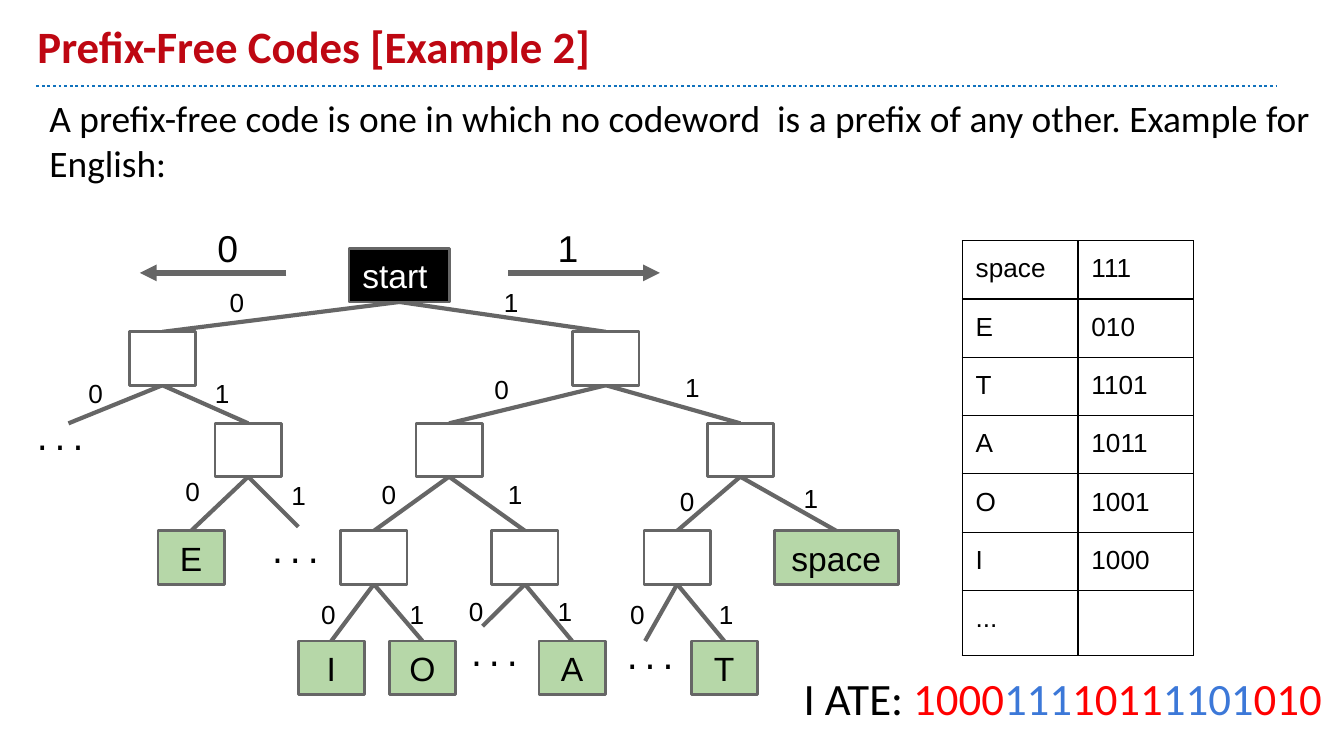
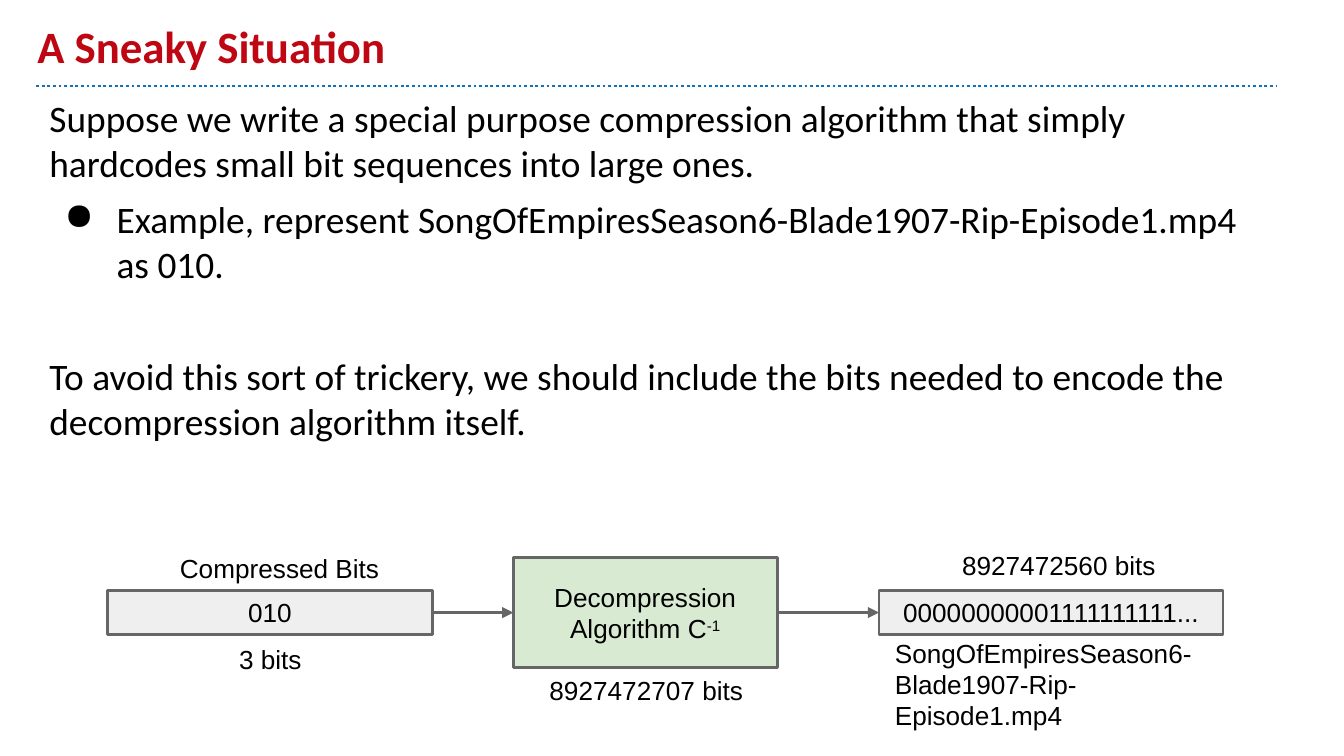
from dataclasses import dataclass

import pptx
import pptx.dml.color
import pptx.enum.dml
import pptx.enum.shapes
import pptx.enum.text
import pptx.oxml.ns
import pptx.util
from lxml import etree

Pt = pptx.util.Pt
RGB = pptx.dml.color.RGBColor.from_string
qn = pptx.oxml.ns.qn
ANCHOR = pptx.enum.text.MSO_ANCHOR
CENTER = pptx.enum.text.PP_ALIGN.CENTER


@dataclass(frozen=True)
class Theme:
    ink: str = "000000"
    paper: str = "FFFFFF"
    heading: str = "BE0712"
    rule: str = "1072BD"
    outline: str = "666666"
    leaf: str = "B6D7A8"
    algorithm: str = "D9EAD3"
    bits: str = "EFEFEF"
    codeword_colors: tuple = ("FF0000", "3C78D8")
    prose_font: str = "Calibri"
    figure_font: str = "Arial"
    dots_font: str = "DejaVu Sans Mono"
    title_size: int = 24
    body_size: int = 20
    node_size: int = 18
    dots_size: int = 16
    label_size: int = 14
    inset: float = 7.2


THEME = Theme()

CODES = {"space": "111", "E": "010", "T": "1101", "A": "1011",
         "O": "1001", "I": "1000", "...": ""}

# Tree: rows by depth, box centres by codeword, stubs as tip and dots position
LEVEL_TOPS = (133.2, 177.8, 226.8, 284.4, 343.4)
NODE_W, NODE_H = 35.5, 28.6
NODE_CENTERS = {
    "": 214, "0": 87, "1": 324.6, "01": 133, "10": 240.6, "11": 396.6,
    "010": 102.4, "100": 200.3, "101": 281.2, "110": 362.8, "111": 448,
    "1000": 177.5, "1001": 226.3, "1011": 306.5, "1101": 388,
}
STUBS = {
    "00": ((36.7, 226.8), (10.8, 218.2)),
    "011": ((159.8, 282.2), (136.8, 278.6)),
    "1010": ((258.5, 335.5), (243.4, 334.1)),
    "1100": ((345.6, 343.4), (326.9, 335.5)),
}
EDGE_LABELS = {
    "0": (115.9, 146.2), "1": (262.8, 146.2),
    "00": (40.3, 195.1), "01": (108, 195.1),
    "10": (257.8, 193), "11": (360, 191.5),
    "010": (92.2, 247.7), "011": (149, 249.8),
    "100": (197.3, 249.1), "101": (265, 249.1),
    "110": (357.1, 252.7), "111": (423.4, 251.3),
    "1000": (164.9, 313.2), "1001": (212.4, 313.2),
    "1010": (244.1, 311.8), "1011": (291.6, 311.8),
    "1100": (330.5, 313.2), "1101": (378, 313.2),
}

EPISODE = "SongOfEmpiresSeason6-Blade1907-Rip-Episode1.mp4"


# Text
def write(frame, text, size=THEME.label_size, font=THEME.figure_font,
          color=THEME.ink, bold=False, align=None, before=0, bullet=None):
    """Add a paragraph; text is a string or a list of (text, color, baseline)."""
    first = frame.paragraphs[0]
    paragraph = frame.add_paragraph() if first.runs else first
    paragraph.alignment = align
    paragraph.space_before = Pt(before)
    parts = [(text, color, 0)] if isinstance(text, str) else text
    for words, part_color, baseline in parts:
        run = paragraph.add_run()
        run.text = words
        run.font.size, run.font.name, run.font.bold = Pt(size), font, bold
        run.font.color.rgb = RGB(part_color)
        if baseline:
            run.font._element.set("baseline", str(baseline * 1000))
    if bullet:
        props = paragraph._p.get_or_add_pPr()
        props.set("marL", str(Pt(36)))
        props.set("indent", str(Pt(-28)))
        etree.SubElement(props, qn("a:buChar")).set("char", bullet)


def set_frame(frame, anchor):
    frame.word_wrap = True
    frame.vertical_anchor = anchor
    frame.margin_left = frame.margin_right = Pt(THEME.inset)
    frame.margin_top = frame.margin_bottom = Pt(THEME.inset)
    return frame


def add_text(slide, left, top, width, height, text=None, anchor=ANCHOR.TOP, **fmt):
    box = slide.shapes.add_textbox(Pt(left), Pt(top), Pt(width), Pt(height))
    frame = set_frame(box.text_frame, anchor)
    if text:
        write(frame, text, **fmt)
    return frame


# Boxes and lines
def add_box(slide, left, top, width, height, fill, lines=(), **fmt):
    box = slide.shapes.add_shape(pptx.enum.shapes.MSO_SHAPE.RECTANGLE,
                                 Pt(left), Pt(top), Pt(width), Pt(height))
    box.shadow.inherit = False
    box.fill.solid()
    box.fill.fore_color.rgb = RGB(fill)
    box.line.color.rgb = RGB(THEME.outline)
    box.line.width = Pt(1.5)
    frame = set_frame(box.text_frame, ANCHOR.MIDDLE)
    for line in lines:
        write(frame, line, **fmt)


def add_line(slide, start, end, width, color=THEME.outline, arrow=False, dotted=False):
    line = slide.shapes.add_connector(pptx.enum.shapes.MSO_CONNECTOR.STRAIGHT,
                                      *(Pt(v) for v in (*start, *end)))
    line.line.color.rgb = RGB(color)
    line.line.width = Pt(width)
    if dotted:
        line.line.dash_style = pptx.enum.dml.MSO_LINE.ROUND_DOT
    if arrow:
        etree.SubElement(line.line._get_or_add_ln(), qn("a:tailEnd")).set("type", "triangle")
    etree.SubElement(line._element.spPr, qn("a:effectLst"))


def add_titled_slide(deck, title):
    slide = deck.slides.add_slide(deck.slide_layouts[6])
    add_line(slide, (19.4, 46.1), (684, 46.1), 1.5, THEME.rule, dotted=True)
    add_text(slide, 13, 7.2, 648, 38.9, title, anchor=ANCHOR.BOTTOM,
             size=THEME.title_size, font=THEME.prose_font,
             color=THEME.heading, bold=True)
    return slide


# Code table
def set_borders(cell):
    props = cell._tc.get_or_add_tcPr()
    for position, side in enumerate(("a:lnL", "a:lnR", "a:lnT", "a:lnB")):
        border = etree.Element(qn(side), w=str(Pt(0.75)))
        solid = etree.SubElement(border, qn("a:solidFill"))
        etree.SubElement(solid, qn("a:srgbClr")).set("val", THEME.ink)
        props.insert(position, border)


def add_code_table(slide, left, top):
    column_w, heights = 62, [30.2] + [30.9] * 5 + [35]
    table = slide.shapes.add_table(len(CODES), 2, Pt(left), Pt(top),
                                   Pt(2 * column_w), Pt(sum(heights))).table
    table.first_row = table.horz_banding = False
    for column in table.columns:
        column.width = Pt(column_w)
    for row, height, entry in zip(table.rows, heights, CODES.items()):
        row.height = Pt(height)
        for cell, text in zip(row.cells, entry):
            cell.fill.background()
            set_borders(cell)
            if text:
                cell.margin_left = cell.margin_right = Pt(THEME.inset)
                cell.margin_top = cell.margin_bottom = Pt(THEME.inset)
                write(cell.text_frame, text)


# Code tree
def add_tree(slide):
    letters = {code: letter for letter, code in CODES.items() if code}
    tips = {code: (x, LEVEL_TOPS[len(code)]) for code, x in NODE_CENTERS.items()}
    tips.update({code: tip for code, (tip, _) in STUBS.items()})

    for code, tip in tips.items():
        if code:
            parent_x, parent_top = tips[code[:-1]]
            add_line(slide, (parent_x, parent_top + NODE_H), tip, 2.25)

    for code, center in NODE_CENTERS.items():
        top = LEVEL_TOPS[len(code)]
        letter = letters.get(code)
        if not code:
            add_box(slide, center - 27, top, 54, NODE_H, THEME.ink, ["start"],
                    size=THEME.node_size, color=THEME.paper)
        elif letter:
            width = 66.5 if letter == "space" else NODE_W
            add_box(slide, center - width / 2, top, width, NODE_H, THEME.leaf,
                    [letter], size=THEME.node_size, align=CENTER)
        else:
            add_box(slide, center - NODE_W / 2, top, NODE_W, NODE_H, THEME.paper)

    for _, dots_at in STUBS.values():
        add_text(slide, *dots_at, 54.7, 33.8, "...",
                 size=THEME.dots_size, font=THEME.dots_font)
    for code, label_at in EDGE_LABELS.items():
        add_text(slide, *label_at, 38, 23, code[-1])


def build_prefix_slide(deck):
    slide = add_titled_slide(deck, "Prefix-Free Codes [Example 2]")
    add_text(slide, 19.4, 43.9, 694, 70,
             "A prefix-free code is one in which no codeword  is a prefix of any other. "
             "Example for English:",
             size=THEME.body_size, font=THEME.prose_font, before=6)

    # Direction key
    for bit, x, start, end in (("0", 109.4, 153.4, 74.9), ("1", 291.6, 272.2, 353.5)):
        add_line(slide, (start, 146.2), (end, 146.2), 3, arrow=True)
        add_text(slide, x, 113.4, 54, 28.6, bit, size=THEME.body_size)

    add_tree(slide)
    add_code_table(slide, 515.5, 128.9)

    # Encoded message
    message = [("I ATE: ", THEME.ink, 0)]
    for i, letter in enumerate(("I", "space", "A", "T", "E")):
        message.append((CODES[letter], THEME.codeword_colors[i % 2], 0))
    add_text(slide, 423.4, 349.2, 339, 49, message, anchor=ANCHOR.MIDDLE,
             size=THEME.title_size, font=THEME.prose_font)


def build_sneaky_slide(deck):
    slide = add_titled_slide(deck, "A Sneaky Situation")
    body = add_text(slide, 19.4, 43.9, 664.6, 242)
    for text, before, bullet in (
            ("Suppose we write a special purpose compression algorithm that simply "
             "hardcodes small bit sequences into large ones.", 6, None),
            (f"Example, represent {EPISODE} as 010.", 6, "●"),
            ("To avoid this sort of trickery, we should include the bits needed to "
             "encode the decompression algorithm itself.", 36, None)):
        write(body, text, size=THEME.body_size, font=THEME.prose_font,
              before=before, bullet=bullet)

    # Decompression pipeline
    inverse = [("Algorithm C", THEME.ink, 0), ("-1", THEME.ink, 30)]
    for left, top, width, height, fill, lines in (
            (57.6, 316.2, 174, 23.8, THEME.bits, ["010"]),
            (275, 298.8, 141.4, 59, THEME.algorithm, ["Decompression", inverse]),
            (470.9, 316.2, 184.3, 23.8, THEME.bits, ["00000000001111111111..."])):
        add_box(slide, left, top, width, height, fill, lines, align=CENTER)
    for start, end in ((231.6, 275), (416.4, 470.9)):
        add_line(slide, (start, 328.2), (end, 328.2), 1.5, arrow=True)

    # Captions
    for left, top, width, height, caption in (
            (89.3, 288.7, 127.4, 23.8, "Compressed Bits"),
            (121, 337.7, 54.7, 21.6, "3 bits"),
            (287.3, 354.2, 141, 21.6, "8927472707 bits"),
            (508.3, 287.3, 141, 21.6, "8927472560 bits"),
            (472.3, 334.1, 184.3, 59, EPISODE)):
        add_text(slide, left, top, width, height, caption)


def main():
    deck = pptx.Presentation()
    deck.slide_width, deck.slide_height = Pt(720), Pt(405)
    build_prefix_slide(deck)
    build_sneaky_slide(deck)
    deck.save("out.pptx")


if __name__ == "__main__":
    main()
